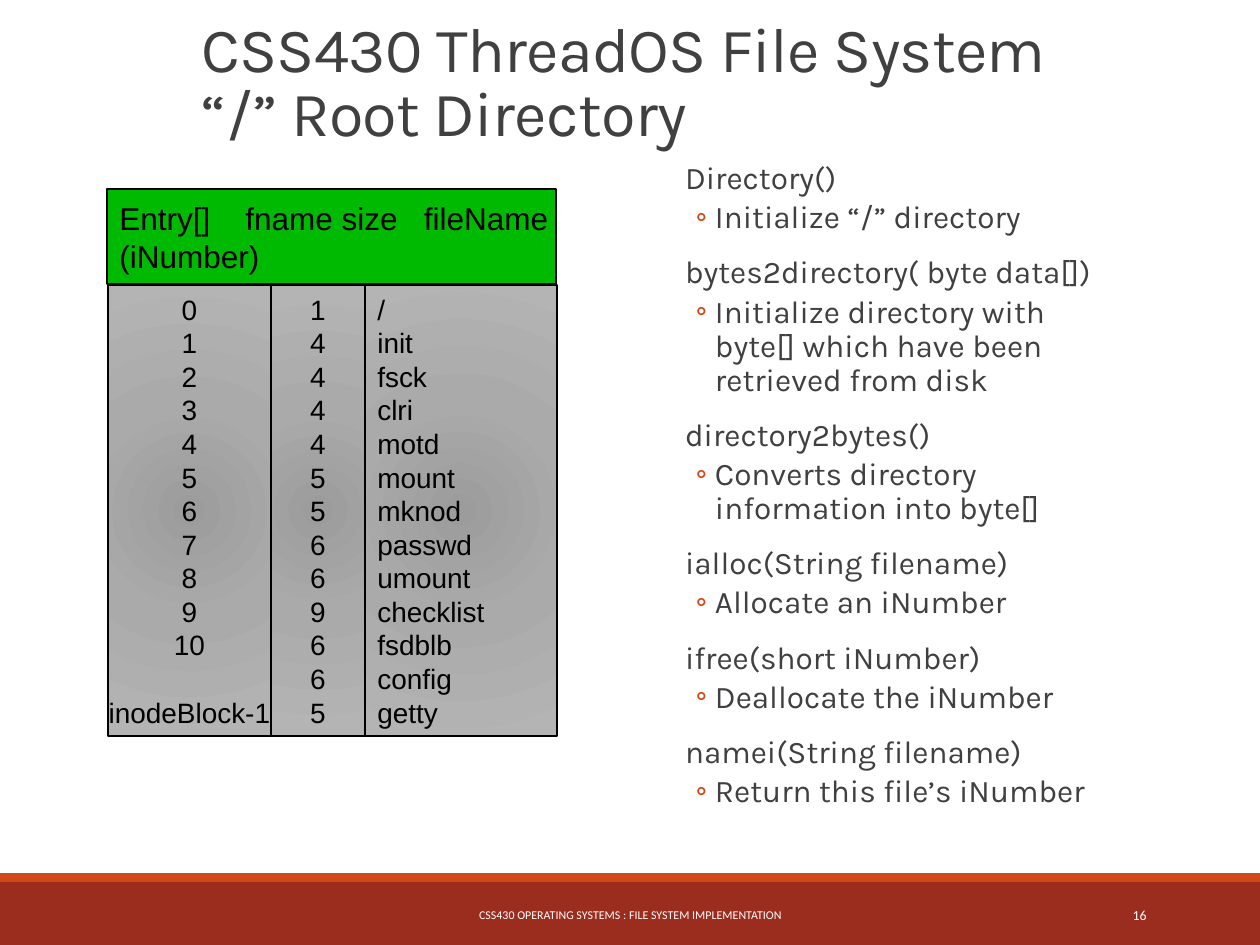
from lxml import etree
from pptx import Presentation
from pptx.dml.color import RGBColor
from pptx.enum.shapes import MSO_SHAPE
from pptx.enum.text import MSO_ANCHOR, MSO_AUTO_SIZE, PP_ALIGN
from pptx.oxml import parse_xml
from pptx.oxml.ns import nsdecls, qn
from pptx.util import Pt

BLACK = RGBColor(0x00, 0x00, 0x00)
WHITE = RGBColor(0xFF, 0xFF, 0xFF)
GRAY = RGBColor(0x40, 0x40, 0x40)
RED = RGBColor(0x9B, 0x2D, 0x1F)
ORANGE = RGBColor(0xD3, 0x48, 0x17)
GREEN = RGBColor(0x00, 0xBA, 0x01)
COLUMN_STOPS = ((0, "9C9C9C"), (45, "AAAAAA"), (100, "B4B4B4"))

LEFT, CENTER, RIGHT = PP_ALIGN.LEFT, PP_ALIGN.CENTER, PP_ALIGN.RIGHT


def px(n):
    return round(n * 914400 / 126)


class SlideBuilder:
    text_font = "Karla"
    table_font = "Arial"
    footer_font = "Calibri"

    def __init__(self, slide):
        self.slide = slide

    def place(self, s, box):
        s.left, s.top, s.width, s.height = map(px, box)

    def style(self, p, font, size, color):
        for r in p.runs:
            r.font.name = font
            r.font.size = Pt(size)
            r.font.color.rgb = color

    def bar(self, box, color):
        s = self.slide.shapes.add_shape(MSO_SHAPE.RECTANGLE, *map(px, box))
        s.shadow.inherit = False
        s.fill.solid()
        s.fill.fore_color.rgb = color
        s.line.fill.background()
        return s

    def radial(self, s):
        stops = "".join(
            f'<a:gs pos="{pos * 1000}"><a:srgbClr val="{color}"/></a:gs>'
            for pos, color in COLUMN_STOPS
        )
        grad = parse_xml(
            f'<a:gradFill {nsdecls("a")} rotWithShape="1"><a:gsLst>{stops}</a:gsLst>'
            '<a:path path="circle">'
            '<a:fillToRect l="50000" t="50000" r="50000" b="50000"/>'
            "</a:path></a:gradFill>"
        )
        spPr = s._element.spPr
        spPr.replace(spPr.find(qn("a:solidFill")), grad)

    def cell(self, box, lines, size, color, line_width, align=LEFT):
        s = self.bar(box, color)
        s.line.color.rgb = BLACK
        s.line.width = Pt(line_width)
        tf = s.text_frame
        tf.word_wrap = False
        tf.vertical_anchor = MSO_ANCHOR.MIDDLE
        tf.text = "\n".join(lines)
        for p in tf.paragraphs:
            p.alignment = align
            p.line_spacing = Pt(size * 1.2)
            self.style(p, self.table_font, size, BLACK)
        return s

    def column(self, box, lines, align=LEFT):
        s = self.cell(box, lines, 16, GREEN, 1, align)
        self.radial(s)
        return s

    def footer(self, box, text, size, align):
        tf = self.slide.shapes.add_textbox(*map(px, box)).text_frame
        tf.word_wrap = True
        tf.vertical_anchor = MSO_ANCHOR.MIDDLE
        tf.text = text
        p = tf.paragraphs[0]
        p.alignment = align
        self.style(p, self.footer_font, size, WHITE)

    def title(self, box, text):
        s = self.slide.shapes.title
        self.place(s, box)
        tf = s.text_frame
        tf.auto_size = MSO_AUTO_SIZE.NONE
        tf.vertical_anchor = MSO_ANCHOR.BOTTOM
        p = tf.paragraphs[0]
        p.text = text
        p.alignment = LEFT
        p.line_spacing = 0.85
        self.style(p, self.text_font, 36, GRAY)
        for r in p.runs:
            r.font._element.set("spc", "-40")

    def bullet(self, p, char):
        pPr = p._p.get_or_add_pPr()
        pPr.set("marL", str(px(40 if char else 10)))
        pPr.set("indent", str(px(-19 if char else 0)))
        if not char:
            etree.SubElement(pPr, qn("a:buNone"))
            return
        clr = etree.SubElement(pPr, qn("a:buClr"))
        etree.SubElement(clr, qn("a:srgbClr")).set("val", str(ORANGE))
        etree.SubElement(pPr, qn("a:buFont")).set("typeface", self.footer_font)
        etree.SubElement(pPr, qn("a:buChar")).set("char", char)

    def body(self, box, methods):
        s = self.slide.placeholders[1]
        self.place(s, box)
        tf = s.text_frame
        tf.auto_size = MSO_AUTO_SIZE.NONE
        tf.margin_left = tf.margin_right = 0
        tf.text = "\n".join(text for pair in methods for text in pair)
        for i, p in enumerate(tf.paragraphs):
            detail = i % 2
            p.level = detail
            p.line_spacing = 0.9
            p.space_before = Pt(1.5 if detail else 9)
            p.space_after = Pt(3 if detail else 1.5)
            self.bullet(p, "◦" if detail else None)
            self.style(p, self.text_font, 18, GRAY)


def main():
    prs = Presentation()
    prs.slide_width, prs.slide_height = px(1260), px(945)
    b = SlideBuilder(prs.slides.add_slide(prs.slide_layouts[1]))

    b.bar((0, 882, 1260, 63), RED)
    b.bar((0, 873, 1260, 9), ORANGE)
    b.footer((381, 890, 499, 50),
             "CSS430 OPERATING SYSTEMS : FILE SYSTEM IMPLEMENTATION", 6.8, CENTER)
    b.footer((1023, 890, 136, 50), "16", 7.9, RIGHT)

    b.body((675, 156, 435, 693), [
        ("Directory()", "Initialize “/” directory"),
        ("bytes2directory( byte data[])",
         "Initialize directory with byte[] which have been retrieved from disk"),
        ("directory2bytes()", "Converts directory information into byte[]"),
        ("ialloc(String filename)", "Allocate an iNumber"),
        ("ifree(short iNumber)", "Deallocate the iNumber"),
        ("namei(String filename)", "Return this file’s iNumber"),
    ])
    b.title((189, 0, 1071, 156), "CSS430 ThreadOS File System\v“/” Root Directory")

    b.cell((107, 189, 449, 95), ["Entry[]\tfname size   fileName", "(iNumber)"],
           18, GREEN, 0.75)

    names = ["/", "init", "fsck", "clri", "motd", "mount", "mknod", "passwd",
             "umount", "checklist", "fsdblb", "config", "getty"]
    sizes = [str(len(name)) for name in names]
    entries = [str(i) for i in range(11)] + ["inodeBlock-1"]
    top, height = 285, 451
    s = b.column((108, top, 163, height), entries, CENTER)
    s.text_frame.paragraphs[-1].space_before = Pt(19.2)
    b.column((271, top, 94, height), sizes, CENTER)
    b.column((365, top, 192, height), names)

    prs.save("out.pptx")


if __name__ == "__main__":
    main()
